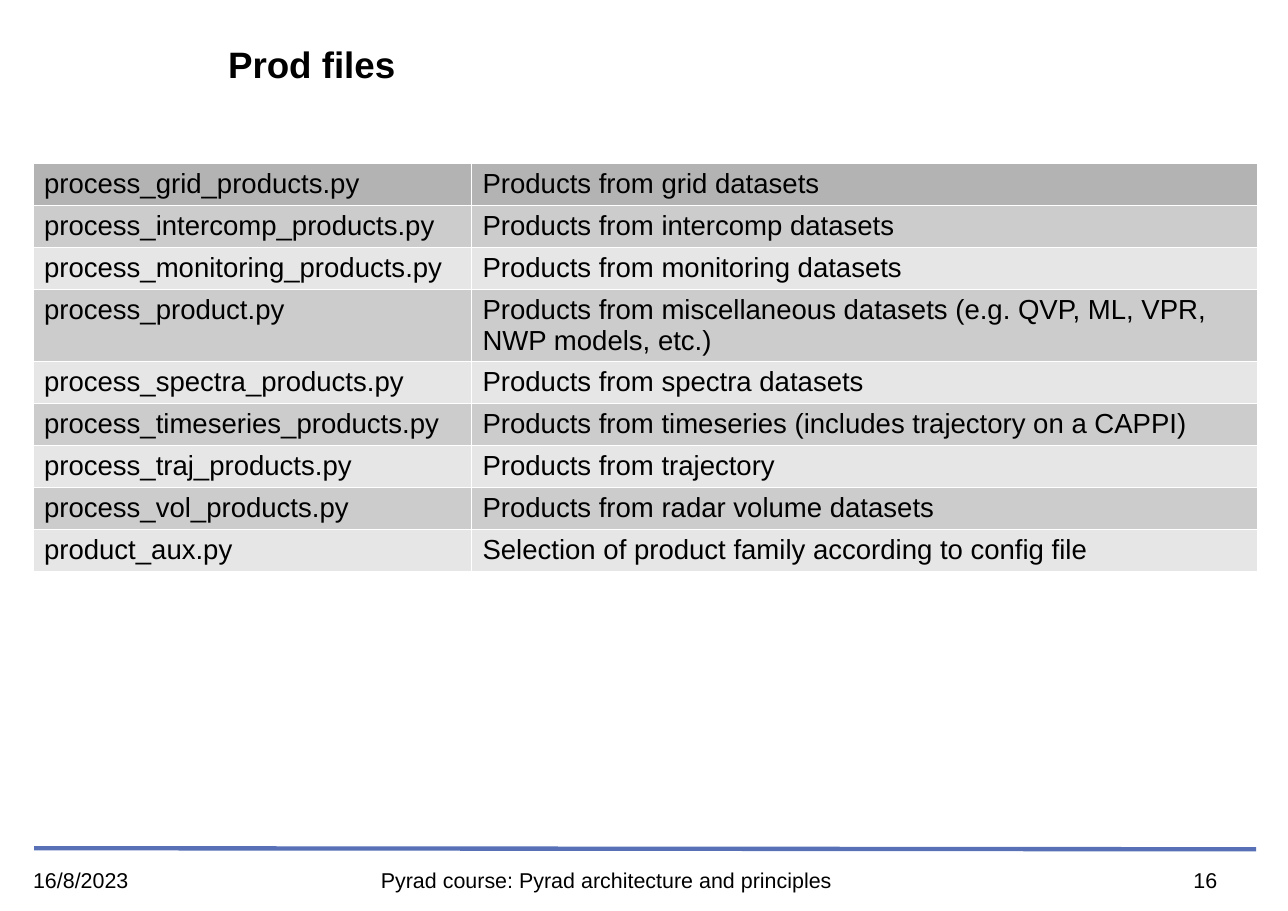
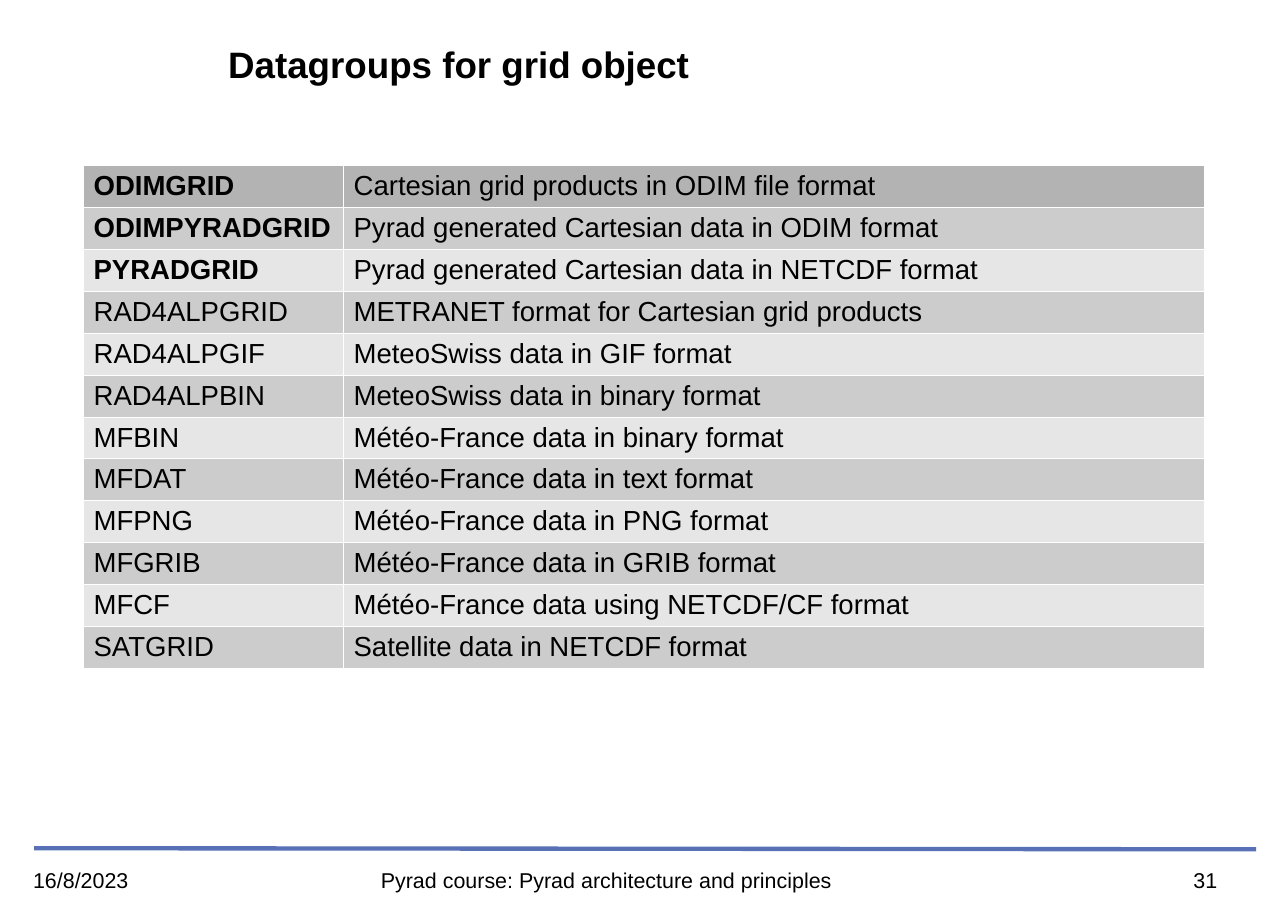
from lxml import etree
from pptx import Presentation
from pptx.dml.color import RGBColor
from pptx.enum.shapes import MSO_CONNECTOR
from pptx.enum.text import MSO_ANCHOR, MSO_AUTO_SIZE, PP_ALIGN
from pptx.oxml.ns import qn
from pptx.util import Inches, Pt

LEFT, CENTER = PP_ALIGN.LEFT, PP_ALIGN.CENTER
MIDDLE, TOP = MSO_ANCHOR.MIDDLE, MSO_ANCHOR.TOP
NO_FIT = MSO_AUTO_SIZE.NONE
STRAIGHT = MSO_CONNECTOR.STRAIGHT
TITLE_ONLY = 5

BLACK, WHITE, RULE_BLUE = "000000", "FFFFFF", "5770B6"
HEADER_GREY, BAND_GREYS = "B3B3B3", ("CCCCCC", "E6E6E6")

TITLE_FONT = {"name": "Arial", "size": Pt(24), "bold": True}
TABLE_FONT = {"name": "Arial", "size": Pt(18), "bold": False}
FOOTER_FONT = {"name": "Arial", "size": Pt(14), "bold": False}

TITLE_BOX = (2.07, 0.27, 9.24, 0.67)
FOOTER_RULE = (0.31, 7.7, 11.4, 7.71)
DATE_BOX = (0.3, 7.87, 2.72, 0.57)
COURSE_BOX = (1.49, 7.87, 8.03, 0.39)
NUMBER_BOX = (10.37, 7.87, 1.14, 0.23)
ROW_HEIGHT = 0.38
BORDER_WIDTH = 0.06

PRODUCT_FILES = [
    ("process_grid_products.py", "Products from grid datasets"),
    ("process_intercomp_products.py", "Products from intercomp datasets"),
    ("process_monitoring_products.py", "Products from monitoring datasets"),
    ("process_product.py",
     "Products from miscellaneous datasets (e.g. QVP, ML, VPR, NWP models, etc.)"),
    ("process_spectra_products.py", "Products from spectra datasets"),
    ("process_timeseries_products.py",
     "Products from timeseries (includes trajectory on a CAPPI)"),
    ("process_traj_products.py", "Products from trajectory"),
    ("process_vol_products.py", "Products from radar volume datasets"),
    ("product_aux.py", "Selection of product family according to config file"),
]

GRID_DATAGROUPS = [
    ("ODIMGRID", "Cartesian grid products in ODIM file format"),
    ("ODIMPYRADGRID", "Pyrad generated Cartesian data in ODIM format"),
    ("PYRADGRID", "Pyrad generated Cartesian data in NETCDF format"),
    ("RAD4ALPGRID", "METRANET format for Cartesian grid products"),
    ("RAD4ALPGIF", "MeteoSwiss data in GIF format"),
    ("RAD4ALPBIN", "MeteoSwiss data in binary format"),
    ("MFBIN", "Météo-France data in binary format"),
    ("MFDAT", "Météo-France data in text format"),
    ("MFPNG", "Météo-France data in PNG format"),
    ("MFGRIB", "Météo-France data in GRIB format"),
    ("MFCF", "Météo-France data using NETCDF/CF format"),
    ("SATGRID", "Satellite data in NETCDF format"),
]


def color(hex_code):
    return RGBColor.from_string(hex_code)


def set_attributes(target, values):
    for name, value in values.items():
        setattr(target, name, value)


def write_text(frame, text, font, align=LEFT):
    frame.text = text
    para = frame.paragraphs[0]
    para.alignment = align
    set_attributes(para.font, font)
    para.font.color.rgb = color(BLACK)
    return para


def set_frame(frame, anchor):
    """Remove the insets and keep the text at its given size."""
    set_attributes(frame, {
        "margin_left": 0, "margin_top": 0, "margin_right": 0, "margin_bottom": 0,
        "word_wrap": True, "auto_size": NO_FIT, "vertical_anchor": anchor,
    })


def add_title(page, box, text):
    title = page.shapes.title
    set_attributes(title, dict(zip(("left", "top", "width", "height"), map(Inches, box))))
    title.fill.solid()
    title.fill.fore_color.rgb = color(WHITE)
    set_frame(title.text_frame, MIDDLE)
    write_text(title.text_frame, text, TITLE_FONT).line_spacing = 0.9


def add_footer(page, number):
    rule = page.shapes.add_connector(STRAIGHT, *map(Inches, FOOTER_RULE))
    rule.line.width = Pt(2.83)
    rule.line.color.rgb = color(RULE_BLUE)
    etree.SubElement(rule._element.spPr, qn("a:effectLst"))

    for box, text, align in (
        (COURSE_BOX, "Pyrad course: Pyrad architecture and principles", CENTER),
        (NUMBER_BOX, str(number), CENTER),
        (DATE_BOX, "16/8/2023", LEFT),
    ):
        frame = page.shapes.add_textbox(*map(Inches, box)).text_frame
        set_frame(frame, TOP)
        write_text(frame, text, FOOTER_FONT, align)


def add_borders(cell):
    properties = cell._tc.get_or_add_tcPr()
    for side in ("a:lnL", "a:lnR", "a:lnT", "a:lnB"):
        border = etree.SubElement(properties, qn(side), w=str(Pt(BORDER_WIDTH)))
        fill = etree.SubElement(border, qn("a:solidFill"))
        etree.SubElement(fill, qn("a:srgbClr"), val=WHITE)


def add_listing(page, left, top, widths, rows, bold_names=0):
    """Add a two-column banded table; the first bold_names names are bold."""
    table = page.shapes.add_table(
        len(rows), len(widths), Inches(left), Inches(top),
        Inches(sum(widths)), Inches(ROW_HEIGHT * len(rows))).table
    set_attributes(table, {"first_row": False, "horz_banding": False})
    for column, width in zip(table.columns, widths):
        column.width = Inches(width)
    for row_index, texts in enumerate(rows):
        table.rows[row_index].height = Inches(ROW_HEIGHT)
        shade = BAND_GREYS[(row_index - 1) % 2] if row_index else HEADER_GREY
        for column_index, text in enumerate(texts):
            cell = table.cell(row_index, column_index)
            add_borders(cell)
            cell.fill.solid()
            cell.fill.fore_color.rgb = color(shade)
            bold = column_index == 0 and row_index < bold_names
            write_text(cell.text_frame, text, {**TABLE_FONT, "bold": bold})


def add_page(deck, title, number):
    page = deck.slides.add_slide(deck.slide_layouts[TITLE_ONLY])
    add_title(page, TITLE_BOX, title)
    add_footer(page, number)
    return page


def main():
    deck = Presentation()
    deck.slide_width, deck.slide_height = Inches(11.69), Inches(8.27)

    page = add_page(deck, "Prod files", 16)
    add_listing(page, 0.3, 1.48, (3.98, 7.13), PRODUCT_FILES)

    page = add_page(deck, "Datagroups for grid object", 31)
    add_listing(page, 0.75, 1.5, (2.36, 7.82), GRID_DATAGROUPS, bold_names=3)

    deck.save("out.pptx")


if __name__ == "__main__":
    main()
